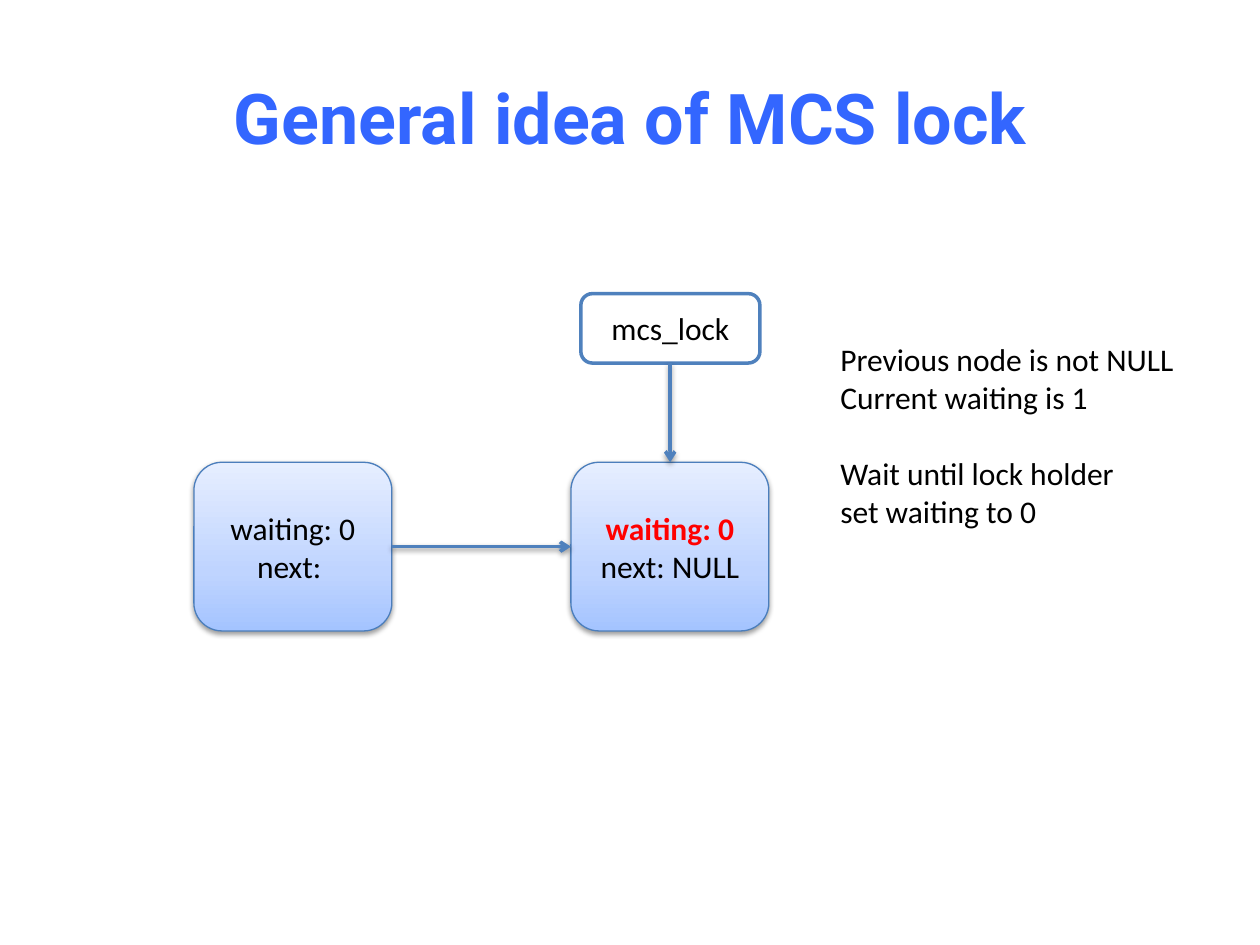
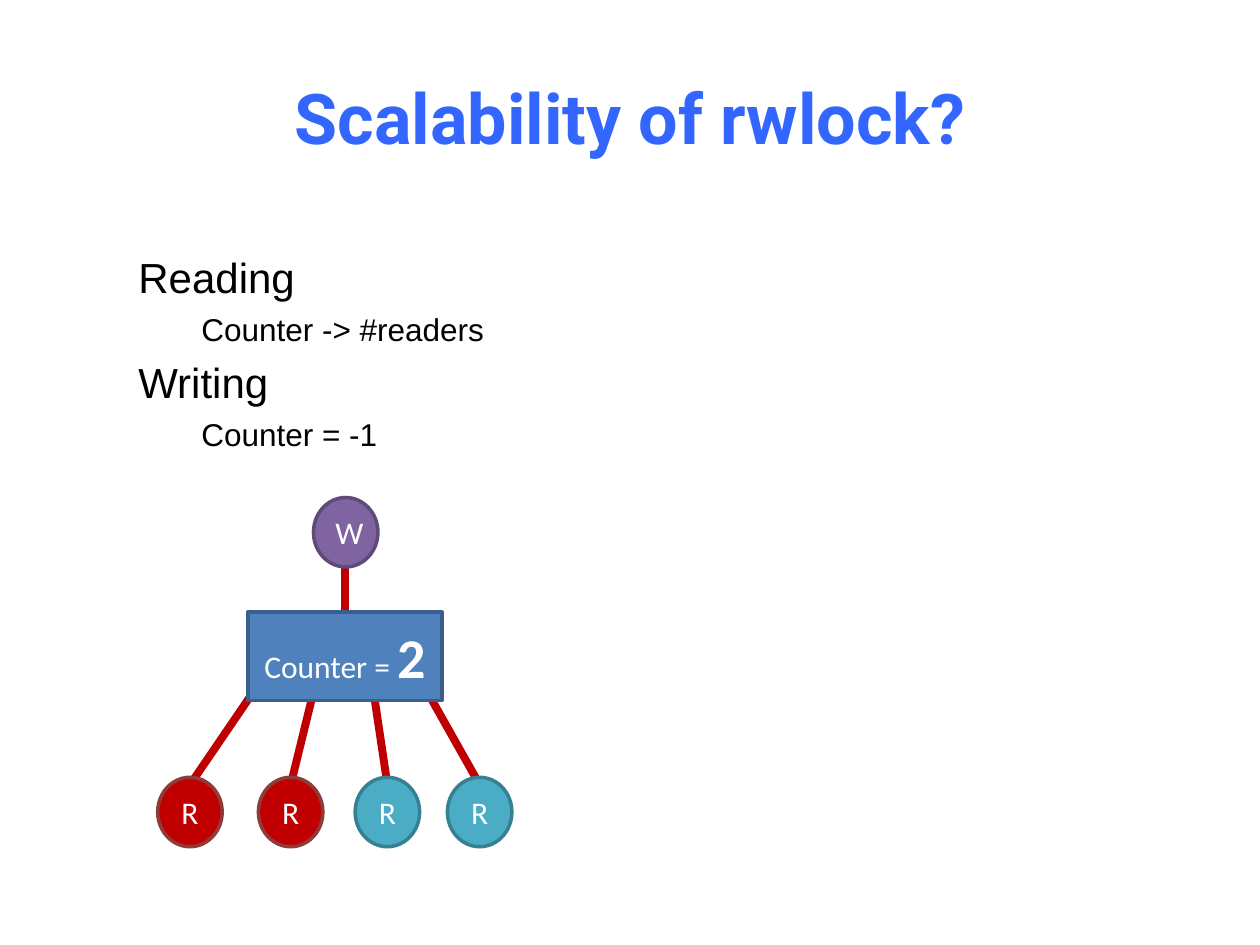
from lxml import etree
from copy import deepcopy
from pptx import Presentation
from pptx.dml.color import RGBColor as RGB
from pptx.enum.shapes import MSO_CONNECTOR as CONN, MSO_SHAPE as SHAPE
from pptx.enum.text import MSO_ANCHOR as ANCHOR, PP_ALIGN as ALIGN
from pptx.oxml import parse_xml
from pptx.oxml.ns import nsdecls, qn
from pptx.util import Cm, Pt

COLORS = {
    "title": "3366FF", "black": "000000", "white": "FFFFFF", "red": "FF0000",
    "blue": "4F81BD", "blue_edge": "3A5F8C", "node_edge": "4B7EBC",
    "grad_dark": "A4C4FF", "grad_mid": "BFD4FF", "grad_light": "E6EEFF",
    "crimson": "C00000", "crimson_edge": "8E3B39",
    "purple": "8064A2", "purple_edge": "5F4A78",
    "teal": "4BACC6", "teal_edge": "377F92",
}
C = {name: RGB.from_string(value) for name, value in COLORS.items()}


def write(tf, text, size=18, font="Calibri", color="black", bold=False,
          align=ALIGN.CENTER, before=0, indent=0, same_line=False):
    """Add text as a new paragraph, or as a further run of the last one."""
    p = tf.paragraphs[-1]
    if p.runs and not same_line:
        p = tf.add_paragraph()
    p.alignment = align
    p.space_before = Pt(before)
    if indent:
        p._p.get_or_add_pPr().set("marL", str(Cm(indent)))
    r = p.add_run()
    r.text = text
    r.font.size, r.font.name, r.font.bold = Pt(size), font, bold
    r.font.color.rgb = C[color]


def add_line(s, x1, y1, x2, y2, color, width):
    """Draw a straight connector without effects."""
    ln = s.shapes.add_connector(CONN.STRAIGHT, Cm(x1), Cm(y1), Cm(x2), Cm(y2))
    ln.line.color.rgb = C[color]
    ln.line.width = Pt(width)
    etree.SubElement(ln._element.spPr, qn("a:effectLst"))
    return ln


prs = Presentation()
prs.slide_width, prs.slide_height = Cm(25.4), Cm(19.05)

# Slides with their shared title style
slides = []
for heading in ("General idea of MCS lock", "Scalability of rwlock?"):
    s = prs.slides.add_slide(prs.slide_layouts[5])
    title = s.shapes.title
    title.left, title.top = Cm(1.27), Cm(0.76)
    title.width, title.height = Cm(22.86), Cm(3.18)
    title.text_frame.vertical_anchor = ANCHOR.MIDDLE
    write(title.text_frame, heading, size=40, font="Roboto", color="title", bold=True)
    slides.append(s)
lock_slide, counter_slide = slides

# Lock variable
sp = lock_slide.shapes.add_shape(SHAPE.ROUNDED_RECTANGLE, Cm(11.71), Cm(5.92), Cm(3.61), Cm(1.4))
sp.shadow.inherit = False
sp.fill.solid()
sp.fill.fore_color.rgb = C["white"]
sp.line.color.rgb = C["blue"]
sp.line.width = Pt(2)
write(sp.text_frame, "mcs_lock")

# Queue nodes
shadowed = []
for x, waiting_format, next_text in (
    (3.91, {}, "next: "),
    (11.51, {"color": "red", "bold": True}, "next: NULL"),
):
    sp = lock_slide.shapes.add_shape(SHAPE.ROUNDED_RECTANGLE, Cm(x), Cm(9.32), Cm(3.99), Cm(3.4))
    sp.shadow.inherit = False
    sp.fill.gradient()
    sp.fill.gradient_angle = 90
    first = sp.fill.gradient_stops[0]._gs
    first.addnext(deepcopy(first))
    for stop, (position, color) in zip(
        sp.fill.gradient_stops, ((0, "grad_dark"), (0.35, "grad_mid"), (1, "grad_light"))
    ):
        stop.position = position
        stop.color.rgb = C[color]
    sp.line.color.rgb = C["node_edge"]
    sp.line.width = Pt(0.75)
    write(sp.text_frame, "waiting: 0", **waiting_format)
    write(sp.text_frame, next_text)
    shadowed.append(sp)

# Pointers to the last node
for ends in ((13.51, 7.32, 13.51, 9.32), (7.9, 11.02, 11.51, 11.02)):
    ln = add_line(lock_slide, *ends, "blue", 2)
    etree.SubElement(ln.line._get_or_add_ln(), qn("a:tailEnd"), type="arrow")
    shadowed.append(ln)

# Soft shadow under nodes and pointers
for sp in shadowed:
    sp._element.spPr.find(qn("a:effectLst")).append(parse_xml(
        f'<a:outerShdw {nsdecls("a")} blurRad="{Pt(3.1)}" dist="{Pt(1.6)}" dir="5400000"'
        f' rotWithShape="0"><a:srgbClr val="{COLORS["black"]}"><a:alpha val="38000"/>'
        '</a:srgbClr></a:outerShdw>'))

# State of the waiting thread
tf = lock_slide.shapes.add_textbox(Cm(16.69), Cm(6.73), Cm(7.32), Cm(4.11)).text_frame
tf.word_wrap = False
for text, before in (
    ("Previous node is not NULL", 0),
    ("Current waiting is 1", 0),
    ("Wait until lock holder", 22),
    ("set waiting to 0", 0),
):
    write(tf, text, align=ALIGN.LEFT, before=before)

# Meaning of the counter
tf = counter_slide.shapes.add_textbox(Cm(2.54), Cm(4.95), Cm(14.15), Cm(12.7)).text_frame
tf.word_wrap = True
for mode, rule in (("Reading", "Counter -> #readers"), ("Writing", "Counter = -1")):
    write(tf, mode, size=24, font="Arial", align=ALIGN.LEFT, before=4.8)
    write(tf, rule, font="Arial", align=ALIGN.LEFT, before=4.8, indent=1.27)

# Links from the threads to the counter
readers = ((3.18, 5.61, "crimson"), (5.21, 6.5, "crimson"),
           (7.16, 7.42, "teal"), (9.02, 8.2, "teal"))
thread_w, thread_h = 1.3, 1.4
add_line(counter_slide, 6.96, 12.34, 6.96, 11.35, "crimson", 4.5)
for x, counter_x, _ in readers:
    add_line(counter_slide, x + thread_w / 2, 15.82, counter_x, 13.21, "crimson", 4.5)

# Counter and threads
parts = [(SHAPE.RECTANGLE, 5, 12.34, 3.91, 1.78, "blue", "Counter = "),
         (SHAPE.OVAL, 6.32, 10.03, thread_w, thread_h, "purple", "W")]
parts += [(SHAPE.OVAL, x, 15.67, thread_w, thread_h, color, "R") for x, _, color in readers]
for kind, x, y, w, h, color, text in parts:
    sp = counter_slide.shapes.add_shape(kind, Cm(x), Cm(y), Cm(w), Cm(h))
    sp.shadow.inherit = False
    sp.fill.solid()
    sp.fill.fore_color.rgb = C[color]
    sp.line.color.rgb = C[color + "_edge"]
    sp.line.width = Pt(2)
    write(sp.text_frame, text, color="white")
    if kind == SHAPE.RECTANGLE:
        write(sp.text_frame, "2", size=32, color="white", bold=True, same_line=True)

prs.save("out.pptx")
